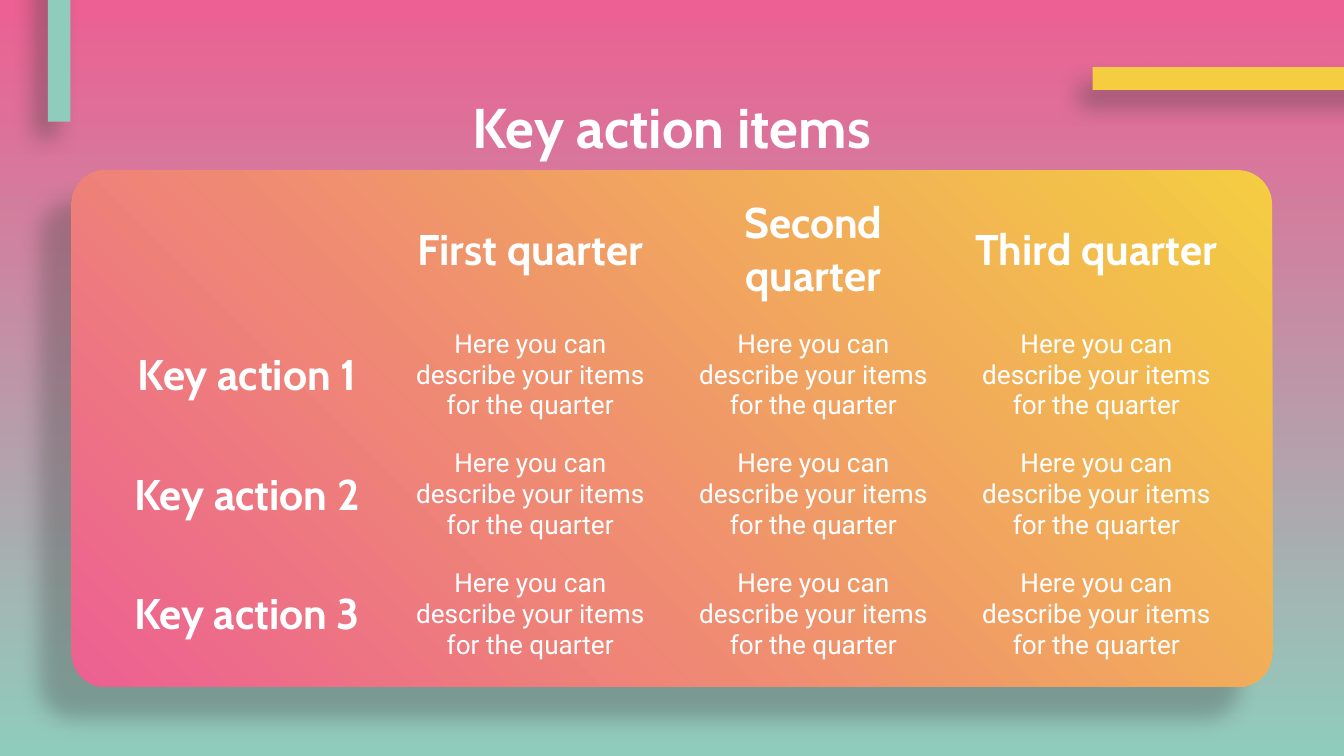
import pptx
import pptx.util
import pptx.dml.color
import pptx.enum.shapes
import pptx.enum.text
import pptx.oxml
import pptx.oxml.ns

Pt = pptx.util.Pt
Align = pptx.enum.text.PP_ALIGN
Anchor = pptx.enum.text.MSO_ANCHOR
Kind = pptx.enum.shapes.MSO_SHAPE

TITLE = "Key action items"
HEADS = ["", "First quarter", "Second quarter", "Third quarter"]
NOTE = "Here you can describe your items for the quarter"
ROWS = [[f"Key action {n}"] + [NOTE] * 3 for n in (1, 2, 3)]

THEME = {
    "pink": "EC6092", "mint": "8FCCBC", "gold": "F4CD41",
    "text": "FFFFFF", "shade": "434343",
    "title": ("Cabin", 30, True),
    "head": ("Cabin", 23, True),
    "body": ("Roboto", 14, False),
}
BARS = [
    ("gold", (585.4, 36, 156.2, 12.2), 0),
    ("mint", (-34.6, -7.2, 132.5, 12.2), 90),
]
CARD = (38.5, 91.2, 643, 276.8)
LEFT, WIDTH = 56.7, 606.6
TOP, HEAD_H, ROW_H = 98.6, 70.2, 64
INSET = 7.2
PLAIN = "{2D5ABB26-0587-4C30-8999-92F81FD0307C}"


def tint(name):
    return pptx.dml.color.RGBColor.from_string(THEME[name])


def blend(fill, names, angle):
    fill.gradient()
    fill.gradient_angle = angle
    for stop, name in zip(fill.gradient_stops, names):
        stop.color.rgb = tint(name)


def shade(shape, alpha, blur, dist, angle):
    shape.shadow.inherit = False
    effects = shape._element.spPr.find(pptx.oxml.ns.qn("a:effectLst"))
    effects.append(pptx.oxml.parse_xml(
        f'<a:outerShdw {pptx.oxml.ns.nsdecls("a")} blurRad="{Pt(blur)}" '
        f'dist="{Pt(dist)}" dir="{angle * 60000}" algn="bl" rotWithShape="0">'
        f'<a:srgbClr val="{THEME["shade"]}"><a:alpha val="{alpha * 1000}"/>'
        '</a:srgbClr></a:outerShdw>'))


def write(frame, text, style):
    frame.text = text
    line = frame.paragraphs[0]
    line.alignment = Align.CENTER
    face, size, bold = THEME[style]
    line.font.name, line.font.size, line.font.bold = face, Pt(size), bold
    line.font.color.rgb = tint("text")


def pad(box):
    box.margin_left = box.margin_right = Pt(INSET)
    box.margin_top = box.margin_bottom = Pt(INSET)


def draw(shapes, kind, box):
    shape = shapes.add_shape(kind, *map(Pt, box))
    shape.line.fill.background()
    return shape


def add_bars(shapes):
    for color, box, turn in BARS:
        bar = draw(shapes, Kind.RECTANGLE, box)
        bar.rotation = turn
        bar.fill.solid()
        bar.fill.fore_color.rgb = tint(color)
        shade(bar, 43, 12.4, 11.2, 129)


def add_card(shapes):
    card = draw(shapes, Kind.ROUNDED_RECTANGLE, CARD)
    card.adjustments[0] = 0.066
    blend(card.fill, ("gold", "pink"), 225)
    shade(card, 32, 11.2, 24, 135)


def set_title(shapes):
    title = shapes.title
    title.left, title.top = Pt(LEFT), Pt(42.5)
    title.width, title.height = Pt(WIDTH), Pt(37.4)
    frame = title.text_frame
    frame.auto_size = pptx.enum.text.MSO_AUTO_SIZE.NONE
    frame.vertical_anchor = Anchor.TOP
    pad(frame)
    write(frame, TITLE, "title")


def add_grid(shapes):
    data = [HEADS] + ROWS
    high = HEAD_H + ROW_H * len(ROWS)
    frame = shapes.add_table(len(data), len(HEADS),
                             *map(Pt, (LEFT, TOP, WIDTH, high)))
    grid = frame.table
    grid._tbl.tblPr.find(pptx.oxml.ns.qn("a:tableStyleId")).text = PLAIN
    grid.horz_banding = False
    for col in grid.columns:
        col.width = Pt(WIDTH / len(HEADS))
    for i, texts in enumerate(data):
        grid.rows[i].height = Pt(ROW_H if i else HEAD_H)
        for j, text in enumerate(texts):
            cell = grid.cell(i, j)
            cell.fill.background()
            cell.vertical_anchor = Anchor.MIDDLE
            pad(cell)
            write(cell.text_frame, text, "body" if i and j else "head")


def main():
    deck = pptx.Presentation()
    deck.slide_width, deck.slide_height = Pt(720), Pt(405)
    slide = deck.slides.add_slide(deck.slide_layouts[5])
    blend(slide.background.fill, ("pink", "mint"), 270)
    add_bars(slide.shapes)
    add_card(slide.shapes)
    set_title(slide.shapes)
    add_grid(slide.shapes)
    deck.save("out.pptx")


if __name__ == "__main__":
    main()
